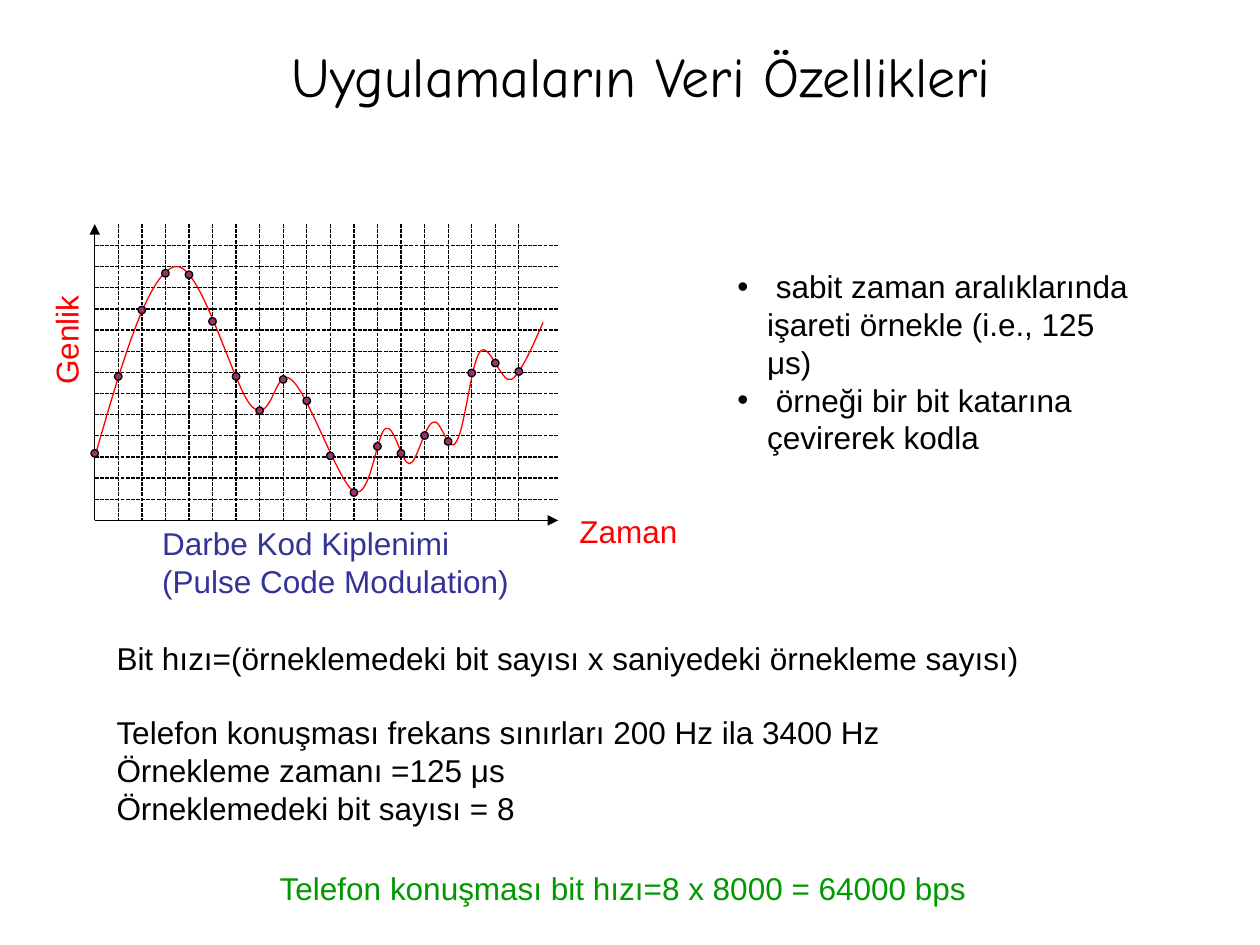
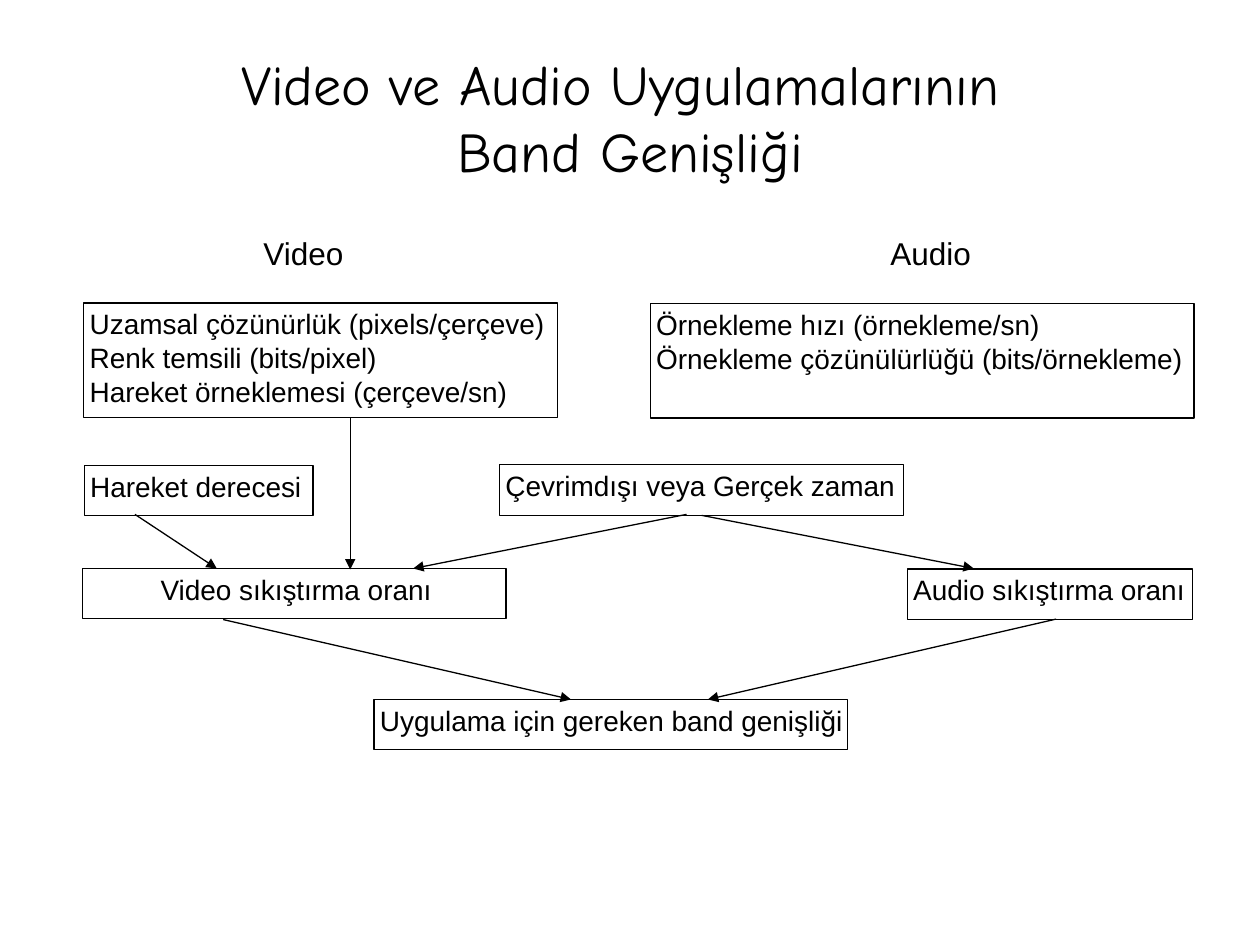
from dataclasses import dataclass
from typing import Optional

from lxml import etree
from pptx import Presentation
from pptx.dml.color import RGBColor
from pptx.enum import dml, shapes, text
from pptx.oxml import ns
from pptx.util import Cm, Pt

INK = {
    "black": "000000",
    "red": "FF0000",
    "blue": "333399",
    "green": "009900",
    "plum": "993366",
}
SANS = "Arial"
HAND = "Comic Neue"
THIN = Pt(0.75)

# Sampling chart, in centimetres
LEFT, RIGHT, TOP, BASE = 1.91, 11.25, 4.52, 10.49
STEP = 0.475
ROWS = 13
RISE = (BASE - 4.95) / ROWS
DOT = 0.15
LEVELS = [9.14, 7.59, 6.25, 5.51, 5.54, 6.48, 7.59, 8.28, 7.65, 8.08,
          9.19, 9.93, 9.0, 9.14, 8.78, 8.9, 7.52, 7.32, 7.49]
START = (1.91, 9.22)
CURVE = [
    ((2.44, 7.37), (2.97, 5.54), (3.51, 5.38)),
    ((4.04, 5.21), (4.7, 7.82), (5.08, 8.2)),
    ((5.49, 8.59), (5.54, 7.37), (5.87, 7.65)),
    ((6.22, 7.92), (6.83, 9.75), (7.14, 9.91)),
    ((7.47, 10.08), (7.59, 8.74), (7.77, 8.64)),
    ((7.95, 8.53), (8.1, 9.37), (8.26, 9.35)),
    ((8.41, 9.32), (8.56, 8.56), (8.74, 8.51)),
    ((8.89, 8.43), (9.04, 9.17), (9.19, 8.92)),
    ((9.37, 8.69), (9.5, 7.29), (9.68, 7.09)),
    ((9.86, 6.86), (10.11, 7.75), (10.31, 7.65)),
    ((10.52, 7.54), (10.85, 6.71), (10.95, 6.5)),
]


@dataclass
class Area:
    x: float
    y: float
    w: float
    h: float

    def emu(self) -> list:
        return [Cm(v) for v in (self.x, self.y, self.w, self.h)]


@dataclass
class Label:
    lines: list
    area: Area
    ink: str = "black"
    turn: int = 0
    gap: int = 0  # points between the first line and the second


@dataclass
class Box:
    lines: list
    area: Area
    mid: bool = False


@dataclass
class Arrow:
    start: tuple
    end: tuple
    source: Optional[int] = None  # box whose bottom centre starts the arrow


LABELS = [
    Label(["Darbe Kod Kiplenimi", "(Pulse Code Modulation)"],
          Area(3.02, 10.44, 7.49, 1.78), "blue"),
    Label(["Genlik"], Area(0.18, 6.34, 2.31, 1.02), "red", 270),
    Label(["Zaman"], Area(11.43, 10.19, 2.49, 1.02), "red"),
    Label(["Bit hızı=(örneklemedeki bit sayısı x saniyedeki örnekleme sayısı)",
           "Telefon konuşması frekans sınırları 200 Hz ila 3400 Hz",
           "Örnekleme zamanı =125 μs", "Örneklemedeki bit sayısı = 8"],
          Area(2.1, 12.75, 18.8, 4.06), gap=21),
    Label(["Telefon konuşması bit hızı=8 x 8000 = 64000 bps"],
          Area(5.39, 17.39, 14.4, 1.02), "green"),
]
HEADS = [Label(["Video"], Area(5.06, 4.6, 2.13, 1.02)),
         Label(["Audio"], Area(17.7, 4.6, 2.13, 1.02))]
BOXES = [
    Box(["Uzamsal çözünürlük (pixels/çerçeve)", "Renk temsili (bits/pixel)",
         "Hareket örneklemesi (çerçeve/sn)"], Area(1.69, 6.11, 9.55, 2.31)),
    Box(["Örnekleme hızı (örnekleme/sn)",
         "Örnekleme çözünülürlüğü (bits/örnekleme)"],
        Area(13.11, 6.12, 10.96, 2.31)),
    Box(["Hareket derecesi"], Area(1.7, 9.38, 4.61, 1.02)),
    Box(["Çevrimdışı veya Gerçek zaman"], Area(10.07, 9.37, 8.15, 1.02)),
    Box(["Video sıkıştırma oranı"], Area(1.67, 11.46, 8.53, 1.01), True),
    Box(["Audio sıkıştırma oranı"], Area(18.29, 11.47, 5.75, 1.02)),
    Box(["Uygulama için gereken band genişliği"], Area(7.54, 14.1, 9.55, 1.01)),
]
ARROWS = [
    Arrow((7.06, 8.43), (7.06, 11.48)),
    Arrow((2.72, 10.37), (4.37, 11.46)),
    Arrow((4.5, 12.49), (11.51, 14.1)),
    Arrow((21.29, 12.48), (14.27, 14.1)),
    Arrow((13.84, 10.37), (8.33, 11.46)),
    Arrow((14.13, 10.39), (19.63, 11.46), 3),
]


def color(name: str) -> RGBColor:
    return RGBColor.from_string(INK[name])


def write(frame, lines: list, size: int = 18, font: str = SANS,
          ink: str = "black", mid: bool = False, bullet: bool = False,
          gap: int = 0) -> None:
    """Fill a text frame with one paragraph per line, all in one format."""
    for i, line in enumerate(lines):
        para = frame.add_paragraph() if i else frame.paragraphs[0]
        para.text = line
        para.space_before = Pt(gap if i == 1 else 0)
        para.alignment = text.PP_ALIGN.CENTER if mid else text.PP_ALIGN.LEFT
        if bullet:
            props = para._p.get_or_add_pPr()
            props.set("marL", str(Cm(0.6)))
            props.set("indent", str(-Cm(0.6)))
            etree.SubElement(props, ns.qn("a:buChar")).set("char", "•")
        for run in para.runs:
            run.font.size = Pt(size)
            run.font.name = font
            run.font.color.rgb = color(ink)


def place(shape, area: Area) -> None:
    shape.left, shape.top, shape.width, shape.height = area.emu()


def title(slide, line: str, area: Area) -> None:
    shape = slide.shapes.title
    place(shape, area)
    frame = shape.text_frame
    frame.auto_size = text.MSO_AUTO_SIZE.NONE
    frame.vertical_anchor = text.MSO_ANCHOR.MIDDLE
    write(frame, [line], size=32, font=HAND, mid=True)


def label(slide, item: Label) -> None:
    shape = slide.shapes.add_textbox(*item.area.emu())
    shape.rotation = item.turn
    frame = shape.text_frame
    frame.word_wrap = False
    frame.auto_size = text.MSO_AUTO_SIZE.SHAPE_TO_FIT_TEXT
    write(frame, item.lines, ink=item.ink, gap=item.gap)


def solid(slide, kind, area: Area, fill: str = ""):
    """Add a thin black outlined shape, filled only if a colour is named."""
    shape = slide.shapes.add_shape(kind, *area.emu())
    shape.shadow.inherit = False
    if fill:
        shape.fill.solid()
        shape.fill.fore_color.rgb = color(fill)
    else:
        shape.fill.background()
    shape.line.color.rgb = color("black")
    shape.line.width = THIN
    return shape


def box(slide, item: Box):
    shape = solid(slide, shapes.MSO_SHAPE.RECTANGLE, item.area)
    frame = shape.text_frame
    frame.word_wrap = True
    frame.vertical_anchor = text.MSO_ANCHOR.TOP
    frame.margin_left, frame.margin_right = Cm(0.12), Cm(0.05)
    frame.margin_top = frame.margin_bottom = Cm(0.08)
    write(frame, item.lines, size=16, mid=item.mid)
    return shape


def line(slide, start: tuple, end: tuple, tip: bool = False, dash: bool = False):
    wire = slide.shapes.add_connector(
        shapes.MSO_CONNECTOR.STRAIGHT, *[Cm(v) for v in start + end])
    wire.line.color.rgb = color("black")
    wire.line.width = THIN
    if dash:
        wire.line.dash_style = dml.MSO_LINE.SQUARE_DOT
    if tip:
        stroke = wire.line._get_or_add_ln()
        etree.SubElement(stroke, ns.qn("a:tailEnd")).set("type", "triangle")
    etree.SubElement(wire._element.spPr, ns.qn("a:effectLst"))
    return wire


def bend(shape) -> None:
    """Turn each three straight segments of a freeform into one cubic curve."""
    legs = list(shape._element.iter(ns.qn("a:lnTo")))
    for i in range(0, len(legs), 3):
        cubic = etree.Element(ns.qn("a:cubicBezTo"))
        legs[i].addprevious(cubic)
        for leg in legs[i:i + 3]:
            cubic.append(leg[0])
            leg.getparent().remove(leg)


def wave(slide) -> None:
    pen = slide.shapes.build_freeform(*[Cm(v) for v in START])
    pen.add_line_segments(
        [(Cm(x), Cm(y)) for piece in CURVE for x, y in piece], close=False)
    shape = pen.convert_to_shape()
    bend(shape)
    shape.shadow.inherit = False
    shape.fill.background()
    shape.line.color.rgb = color("red")
    shape.line.width = THIN


def plot(slide) -> None:
    for i in range(1, len(LEVELS)):
        x = LEFT + i * STEP
        line(slide, (x, TOP), (x, BASE), dash=True)
    for i in range(1, ROWS + 1):
        y = BASE - i * RISE
        line(slide, (LEFT, y), (RIGHT, y), dash=True)
    line(slide, (LEFT, BASE), (LEFT, TOP), tip=True)
    line(slide, (LEFT, BASE), (RIGHT, BASE), tip=True)
    wave(slide)
    for i, y in enumerate(LEVELS):
        spot = Area(LEFT + i * STEP - DOT / 2, y - DOT / 2, DOT, DOT)
        solid(slide, shapes.MSO_SHAPE.OVAL, spot, fill="plum")


def sampling(deck) -> None:
    slide = deck.slides.add_slide(deck.slide_layouts[1])
    title(slide, "Uygulamaların Veri Özellikleri", Area(1.5, 0.52, 22.86, 2))
    body = slide.placeholders[1]
    place(body, Area(14.61, 5.26, 8.61, 4.1))
    body.text_frame.auto_size = text.MSO_AUTO_SIZE.NONE
    write(body.text_frame,
          [" sabit zaman aralıklarında işareti örnekle (i.e., 125 μs)",
           " örneği bir bit katarına çevirerek kodla"], bullet=True)
    plot(slide)
    for item in LABELS:
        label(slide, item)


def bandwidth(deck) -> None:
    slide = deck.slides.add_slide(deck.slide_layouts[5])
    title(slide, "Video ve Audio Uygulamalarının \nBand Genişliği",
          Area(1.27, 0.76, 22.86, 3.18))
    for item in HEADS:
        label(slide, item)
    nodes = [box(slide, item) for item in BOXES]
    for item in ARROWS:
        wire = line(slide, item.start, item.end, tip=True)
        if item.source is not None:
            wire.begin_connect(nodes[item.source], 2)


def main() -> None:
    deck = Presentation()
    deck.slide_width, deck.slide_height = Cm(25.4), Cm(19.05)
    sampling(deck)
    bandwidth(deck)
    deck.save("out.pptx")


if __name__ == "__main__":
    main()
